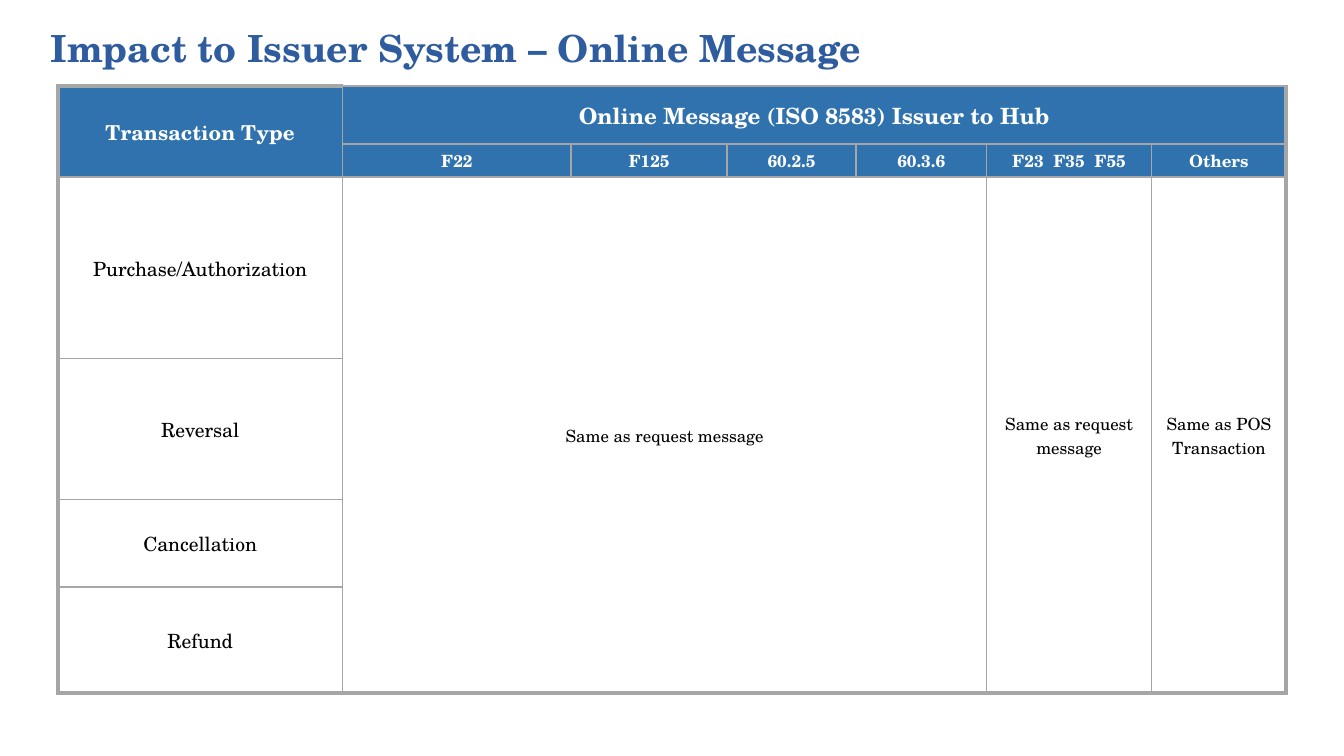
from pptx import Presentation
from pptx.dml.color import RGBColor
from pptx.enum.text import MSO_ANCHOR, PP_ALIGN
from pptx.oxml.ns import qn
from pptx.util import Inches, Pt
from lxml.etree import SubElement

COLORS = {"title": "2E5C9E", "header": "3072AE", "border": "A6A6A6", "white": "FFFFFF", "black": "000000"}
FONT = "TeX Gyre Schola"
COLS = [2.12, 1.7, 1.16, 0.96, 0.97, 1.23, 1]
ROWS = [0.43, 0.19, 1.35, 1.05, 0.65, 0.79]


def add_run(p, text, size, color, bold):
    r = p.add_run()
    r.text = text
    r.font.name = FONT
    r.font.size = Pt(size)
    r.font.bold = bold
    r.font.color.rgb = RGBColor.from_string(COLORS[color])


def add_border(cell, side, width):
    ln = SubElement(cell._tc.get_or_add_tcPr(), qn(f"a:ln{side}"), w=str(Pt(width)))
    fill = SubElement(ln, qn("a:solidFill"))
    SubElement(fill, qn("a:srgbClr"), val=COLORS["border"])


prs = Presentation()
prs.slide_width = Inches(10)
prs.slide_height = Inches(10) * 9 // 16
s = prs.slides.add_slide(prs.slide_layouts[6])

frame = s.shapes.add_table(len(ROWS), len(COLS), Inches(0.43), Inches(0.64), Inches(sum(COLS)), Inches(sum(ROWS)))
table = frame.table
table.first_row = False
table.horz_banding = False
for column, width in zip(table.columns, COLS):
    column.width = Inches(width)
for row, height in zip(table.rows, ROWS):
    row.height = Inches(height)

cells = [
    (0, 0, 2, 1, "Transaction Type", 11),
    (0, 1, 1, 6, "Online Message (ISO 8583) Issuer to Hub", 12),
    (2, 1, 4, 4, "Same as request message", 9),
    (2, 5, 4, 1, "Same as request message", 9),
    (2, 6, 4, 1, "Same as POS Transaction", 9),
]
for i, field in enumerate(["F22", "F125", "60.2.5", "60.3.6", "F23  F35  F55", "Others"]):
    cells.append((1, i + 1, 1, 1, field, 9))
for i, kind in enumerate(["Purchase/Authorization", "Reversal", "Cancellation", "Refund"]):
    cells.append((i + 2, 0, 1, 1, kind, 10.5))

for top, left, height, width, text, size in cells:
    bottom, right = top + height - 1, left + width - 1
    cell = table.cell(top, left)
    if height * width > 1:
        cell.merge(table.cell(bottom, right))
    header = top < 2
    borders = {
        "L": 2.25 if left == 0 else 1,
        "R": 2.25 if right == len(COLS) - 1 else 1,
        "T": 2.25 if top == left == 0 else 1,
        "B": 2.25 if bottom == len(ROWS) - 1 else 1,
    }
    for y in range(top, bottom + 1):
        for x in range(left, right + 1):
            part = table.cell(y, x)
            edges = {"L": x == left, "R": x == right, "T": y == top, "B": y == bottom}
            for side, weight in borders.items():
                if edges[side] or not part.is_spanned:
                    add_border(part, side, weight)
            if header:
                part.fill.solid()
                part.fill.fore_color.rgb = RGBColor.from_string(COLORS["header"])
            else:
                part.fill.background()
    cell.margin_left = cell.margin_right = cell.margin_top = Inches(0.01)
    cell.margin_bottom = 0
    cell.vertical_anchor = MSO_ANCHOR.MIDDLE
    p = cell.text_frame.paragraphs[0]
    p.alignment = PP_ALIGN.CENTER
    add_run(p, text, size, "white" if header else "black", header)

title = s.shapes.add_textbox(Inches(0.28), Inches(0.14), Inches(8.11), Inches(0.47))
tf = title.text_frame
tf.word_wrap = True
add_run(tf.paragraphs[0], "Impact to Issuer System – Online Message", 20, "title", True)

prs.save("out.pptx")
